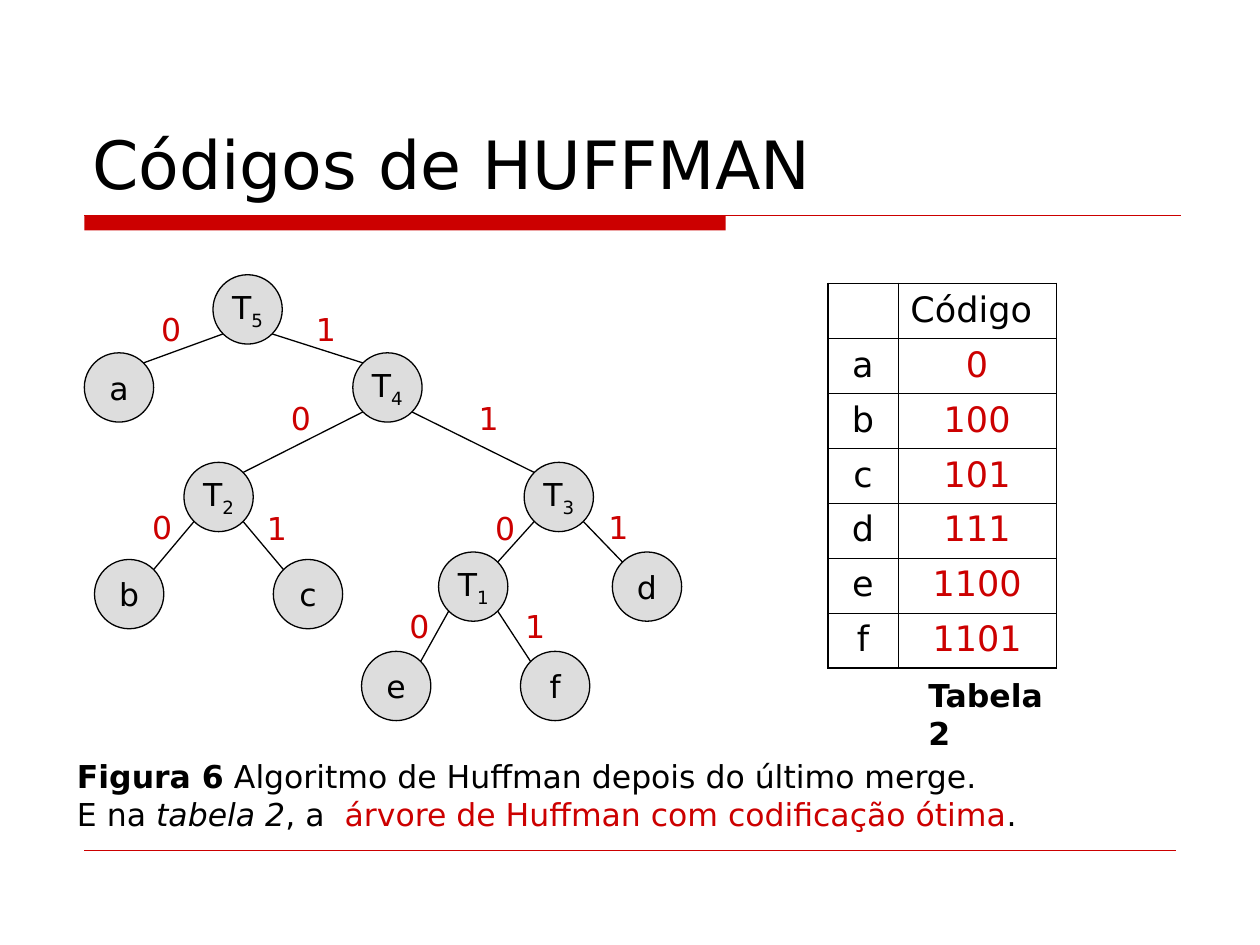
from math import sqrt
from typing import NamedTuple

from lxml import etree
from pptx import Presentation
from pptx.dml.color import RGBColor
from pptx.enum.shapes import MSO_CONNECTOR, MSO_SHAPE
from pptx.enum.text import MSO_ANCHOR, MSO_AUTO_SIZE, PP_ALIGN
from pptx.oxml.ns import qn
from pptx.util import Pt

STRAIGHT = MSO_CONNECTOR.STRAIGHT
OVAL, RECTANGLE = MSO_SHAPE.OVAL, MSO_SHAPE.RECTANGLE
LEFT, CENTER = PP_ALIGN.LEFT, PP_ALIGN.CENTER
BOTTOM, MIDDLE = MSO_ANCHOR.BOTTOM, MSO_ANCHOR.MIDDLE

FONT = "DejaVu Sans"
BLACK, RED, GRAY = "000000", "CC0000", "DDDDDD"
DIAMETER = 39.6
RADIUS = DIAMETER / 2
DIAGONAL = RADIUS / sqrt(2)
BIT_WIDTH, LINE_HEIGHT = 24.5, 28.8
THIN, THICK = 0.45, 1.08


class Span(NamedTuple):
    """A run of text; the text "\\n" stands for a line break."""
    text: str
    color: str = BLACK
    bold: bool = False
    italic: bool = False
    subscript: bool = False


class Node(NamedTuple):
    letter: str
    index: str
    left: float
    top: float


class Branch(NamedTuple):
    parent: str
    child: str
    bit: str
    bit_left: float
    bit_top: float


NODES = [
    Node("T", "5", 121.7, 157),
    Node("a", "", 48.2, 201.6),
    Node("T", "4", 201.6, 201.6),
    Node("T", "2", 105.1, 264.2),
    Node("T", "3", 299.5, 264.2),
    Node("b", "", 54, 319.7),
    Node("c", "", 156.2, 319.7),
    Node("T", "1", 250.6, 315.4),
    Node("d", "", 349.9, 315.4),
    Node("e", "", 206.6, 372.2),
    Node("f", "", 297.4, 372.2),
]
BRANCHES = [
    Branch("T5", "a", "0", 85, 173.5),
    Branch("T5", "T4", "1", 173.5, 173.5),
    Branch("T4", "T2", "0", 159.1, 224.6),
    Branch("T4", "T3", "1", 266.4, 224.6),
    Branch("T2", "b", "0", 79.9, 286.6),
    Branch("T2", "c", "1", 145.4, 287.3),
    Branch("T3", "T1", "0", 275.8, 287.3),
    Branch("T3", "d", "1", 340.6, 286.6),
    Branch("T1", "e", "0", 226.8, 343.4),
    Branch("T1", "f", "1", 293, 343.4),
]
CODES = [("", "Código"), ("a", "0"), ("b", "100"), ("c", "101"),
         ("d", "111"), ("e", "1100"), ("f", "1101")]
CAPTION = [
    Span("Figura 6", bold=True),
    Span(" Algoritmo de Huffman depois do último merge. "),
    Span("\n"),
    Span("E na "),
    Span("tabela 2", italic=True),
    Span(", a  "),
    Span("árvore de Huffman com codificação ótima", RED),
    Span("."),
]


def rgb(color: str) -> RGBColor:
    return RGBColor.from_string(color)


def write(paragraph, spans: list[Span], size: float, align=LEFT) -> None:
    paragraph.alignment = align
    for span in spans:
        if span.text == "\n":
            paragraph.add_line_break()
            continue
        run = paragraph.add_run()
        run.text = span.text
        font = run.font
        font.name, font.size = FONT, Pt(size)
        font.bold, font.italic = span.bold, span.italic
        font.color.rgb = rgb(span.color)
        if span.subscript:
            run._r.get_or_add_rPr().set("baseline", "-25000")


def add_text(slide, left: float, top: float, width: float, height: float,
             spans: list[Span], wrap: bool = False) -> None:
    frame = slide.shapes.add_textbox(Pt(left), Pt(top), Pt(width), Pt(height)).text_frame
    frame.word_wrap = wrap
    frame.auto_size = MSO_AUTO_SIZE.SHAPE_TO_FIT_TEXT
    write(frame.paragraphs[0], spans, 18)


def add_line(slide, x1: float, y1: float, x2: float, y2: float,
             color: str = BLACK, weight: float = 0.75) -> None:
    line = slide.shapes.add_connector(STRAIGHT, Pt(x1), Pt(y1), Pt(x2), Pt(y2))
    line.line.color.rgb = rgb(color)
    line.line.width = Pt(weight)
    etree.SubElement(line._element.spPr, qn("a:effectLst"))


def add_node(slide, node: Node) -> None:
    circle = slide.shapes.add_shape(OVAL, Pt(node.left), Pt(node.top), Pt(DIAMETER), Pt(DIAMETER))
    circle.shadow.inherit = False
    circle.fill.solid()
    circle.fill.fore_color.rgb = rgb(GRAY)
    circle.line.color.rgb = rgb(BLACK)
    circle.line.width = Pt(0.75)
    frame = circle.text_frame
    frame.word_wrap = False
    frame.vertical_anchor = MIDDLE
    spans = [Span(node.letter)]
    if node.index:
        spans.append(Span(node.index, subscript=True))
    write(frame.paragraphs[0], spans, 18, CENTER)


def add_branch(slide, branch: Branch, nodes: dict[str, Node]) -> None:
    """Joins the lower diagonal of the parent to the upper diagonal of the child."""
    parent, child = nodes[branch.parent], nodes[branch.child]
    reach = -DIAGONAL if branch.bit == "0" else DIAGONAL
    add_line(slide, parent.left + RADIUS + reach, parent.top + RADIUS + DIAGONAL,
             child.left + RADIUS - reach, child.top + RADIUS - DIAGONAL)
    add_text(slide, branch.bit_left, branch.bit_top, BIT_WIDTH, LINE_HEIGHT,
             [Span(branch.bit, RED)])


def set_borders(cell, weights: dict[str, float]) -> None:
    properties = cell._tc.get_or_add_tcPr()
    for position, (side, weight) in enumerate(weights.items()):
        border = etree.Element(qn(f"a:ln{side}"), w=str(Pt(weight)))
        fill = etree.SubElement(border, qn("a:solidFill"))
        etree.SubElement(fill, qn("a:srgbClr"), val=BLACK)
        properties.insert(position, border)


def add_code_table(slide) -> None:
    row_height, column_widths = 31.4, (39.9, 90.6)
    last_row, last_column = len(CODES) - 1, len(column_widths) - 1
    table = slide.shapes.add_table(len(CODES), len(column_widths), Pt(473.2), Pt(162),
                                   Pt(sum(column_widths)), Pt(row_height * len(CODES))).table
    table.first_row = table.horz_banding = False
    for column, width in zip(table.columns, column_widths):
        column.width = Pt(width)
    for r, entries in enumerate(CODES):
        table.rows[r].height = Pt(row_height)
        for c, entry in enumerate(entries):
            cell = table.cell(r, c)
            cell.margin_left = cell.margin_right = Pt(7.2)
            cell.margin_top = cell.margin_bottom = Pt(3.6)
            cell.fill.background()
            set_borders(cell, {"L": THICK if c == 0 else THIN,
                               "R": THICK if c == last_column else THIN,
                               "T": THICK if r == 0 else THIN,
                               "B": THICK if r == last_row else THIN})
            if entry:
                paragraph = cell.text_frame.paragraphs[0]
                paragraph.space_before = Pt(5)
                color = RED if r and c else BLACK
                write(paragraph, [Span(entry, color)], 20, CENTER if r else LEFT)


def add_title(slide) -> None:
    title = slide.shapes.title
    title.left, title.top, title.width, title.height = Pt(45.4), Pt(23.8), Pt(630), Pt(95.8)
    title.text_frame.vertical_anchor = BOTTOM
    write(title.text_frame.paragraphs[0], [Span("Códigos de HUFFMAN")], 38)
    bar = slide.shapes.add_shape(RECTANGLE, Pt(48.2), Pt(123.1), Pt(366.5), Pt(8.6))
    bar.shadow.inherit = False
    bar.fill.solid()
    bar.fill.fore_color.rgb = rgb(RED)
    bar.line.fill.background()
    add_line(slide, 48.2, 123.1, 674.6, 123.1, RED)


def main() -> None:
    deck = Presentation()
    deck.slide_width, deck.slide_height = Pt(720), Pt(540)
    slide = deck.slides.add_slide(deck.slide_layouts[5])
    add_title(slide)
    add_line(slide, 48.2, 486, 671.8, 486, RED, 0.25)
    for node in NODES:
        add_node(slide, node)
    nodes = {node.letter + node.index: node for node in NODES}
    for branch in BRANCHES:
        add_branch(slide, branch, nodes)
    add_code_table(slide)
    add_text(slide, 523.4, 383, 84.2, LINE_HEIGHT,
             [Span("Tabela", bold=True), Span("\n"), Span("2", bold=True)])
    add_text(slide, 36.9, 429.1, 560.2, 50.4, CAPTION, wrap=True)
    deck.save("out.pptx")


if __name__ == "__main__":
    main()
